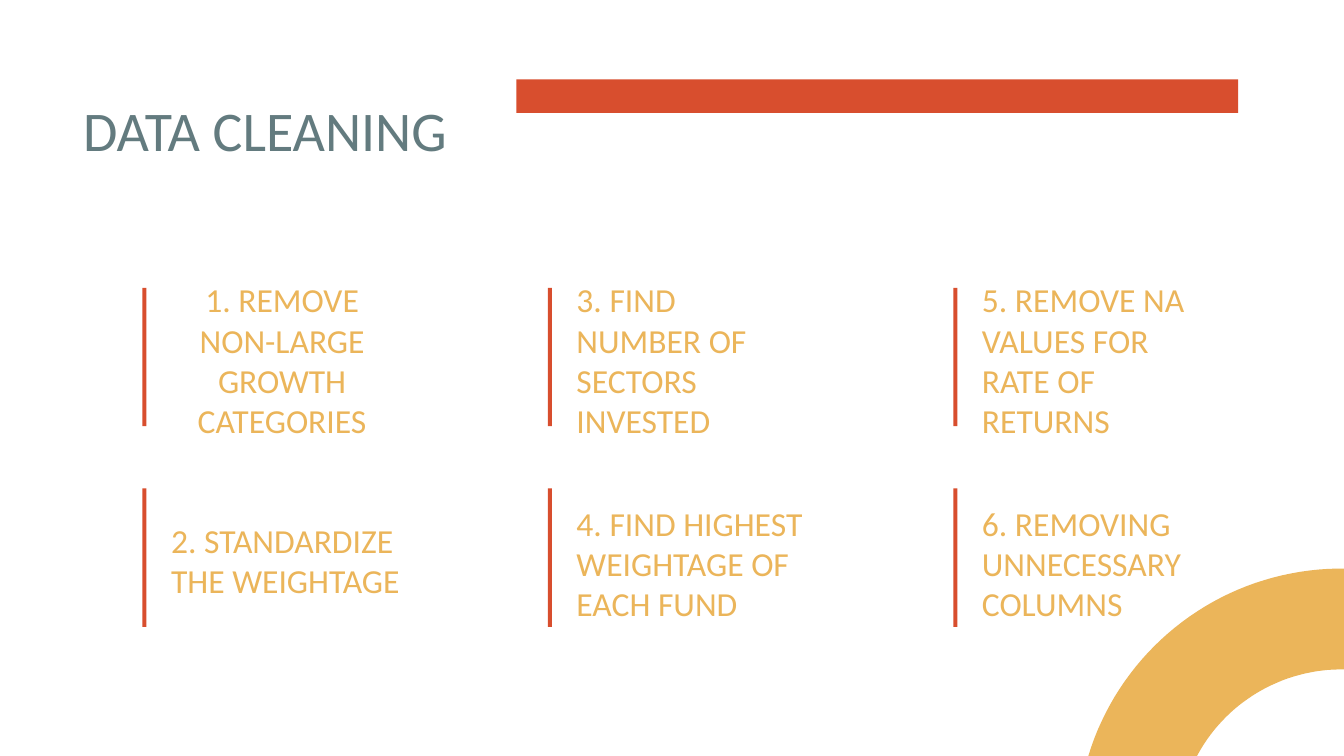
import math

from pptx import Presentation
from pptx.dml.color import RGBColor
from pptx.enum import shapes, text
from pptx import util as u

STEPS = [
    ("1. REMOVE NON-LARGE GROWTH CATEGORIES", 18.5, 13.7),
    ("2. STANDARDIZE THE WEIGHTAGE", 22.9, 7.8),
    ("3. FIND NUMBER OF SECTORS INVESTED", 17.3, 13.7),
    ("4. FIND HIGHEST WEIGHTAGE OF EACH FUND", 21.6, 10.3),
    ("5. REMOVE NA VALUES FOR RATE OF RETURNS", 17.3, 13.7),
    ("6. REMOVING UNNECESSARY COLUMNS", 20.3, 10.3),
]


def color(value):
    return RGBColor.from_string(value)


class Page:
    font = "Calibri"
    slate, red, gold = "637B7F", "D84E2E", "EBB55A"

    def __init__(self, deck):
        self.slide = deck.slides.add_slide(deck.slide_layouts[6])
        self.cell = deck.slide_width / 100

    def grid(self, *cells):
        return [u.Emu(round(cell * self.cell)) for cell in cells]

    def paint(self, shape, fill):
        shape.shadow.inherit = False
        shape.fill.solid()
        shape.fill.fore_color.rgb = color(fill)
        shape.line.fill.background()

    def bar(self, left, top, width, height):
        box = self.slide.shapes.add_shape(
            shapes.MSO_SHAPE.RECTANGLE, *self.grid(left, top, width, height))
        self.paint(box, self.red)

    def quarter_ring(self, left, top, outer, inner, rotation):
        def arc(radius, angles):
            return [(left + outer + radius * math.cos(math.radians(angle)),
                     top + outer + radius * math.sin(math.radians(angle)))
                    for angle in angles]

        points = arc(outer, range(180, 271, 2)) + arc(inner, range(270, 179, -2))
        outline = [self.grid(*point) for point in points]
        builder = self.slide.shapes.build_freeform(*outline[0], scale=1.0)
        builder.add_line_segments(outline[1:], close=True)
        ring = builder.convert_to_shape()
        ring.rotation = rotation
        self.paint(ring, self.gold)

    def label(self, words, left, top, width, height, size, fill,
              align=text.PP_ALIGN.LEFT, after=0):
        box = self.slide.shapes.add_textbox(*self.grid(left, top, width, height))
        frame = box.text_frame
        frame.text = words
        frame.word_wrap = True
        frame.vertical_anchor = text.MSO_ANCHOR.TOP
        frame.margin_left, frame.margin_top, frame.margin_right, frame.margin_bottom = \
            self.grid(1, 1, 1, 1)
        para = frame.paragraphs[0]
        para.alignment = align
        para.space_after = u.Pt(after)
        span = para.runs[0]
        span.font.name = self.font
        span.font.size = u.Pt(size)
        span.font.color.rgb = color(fill)


def main():
    deck = Presentation()
    deck.slide_width = u.Inches(10)
    deck.slide_height = u.Emu(deck.slide_width * 9 // 16)
    page = Page(deck)
    page.quarter_ring(83, 40.1, 19.7, 12.2, 15)
    page.bar(38.43, 5.9, 53.7, 2.5)
    page.label("DATA CLEANING", 5.2, 6.1, 38.9, 7, 30, page.slate)
    for index, (words, width, height) in enumerate(STEPS):
        column, row = divmod(index, 2)
        left, middle = 10.6 + 30.17 * column, 26.57 + 14.93 * row
        align = text.PP_ALIGN.LEFT if index else text.PP_ALIGN.CENTER
        page.label(words, left + 1.14, middle - height / 2 + 0.05, width, height,
                   18, page.gold, align, after=16)
        page.bar(left, middle - 5.15, 0.3, 10.3)
    deck.save("out.pptx")


if __name__ == "__main__":
    main()
